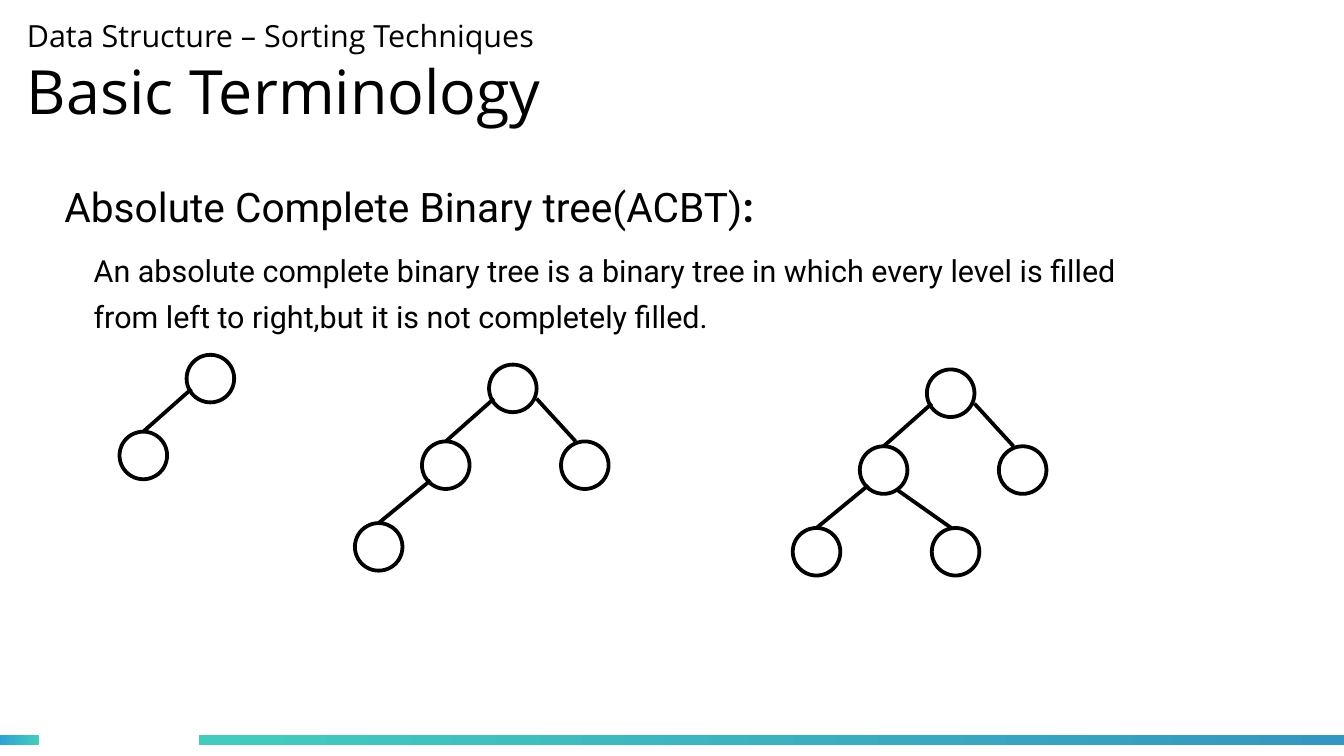
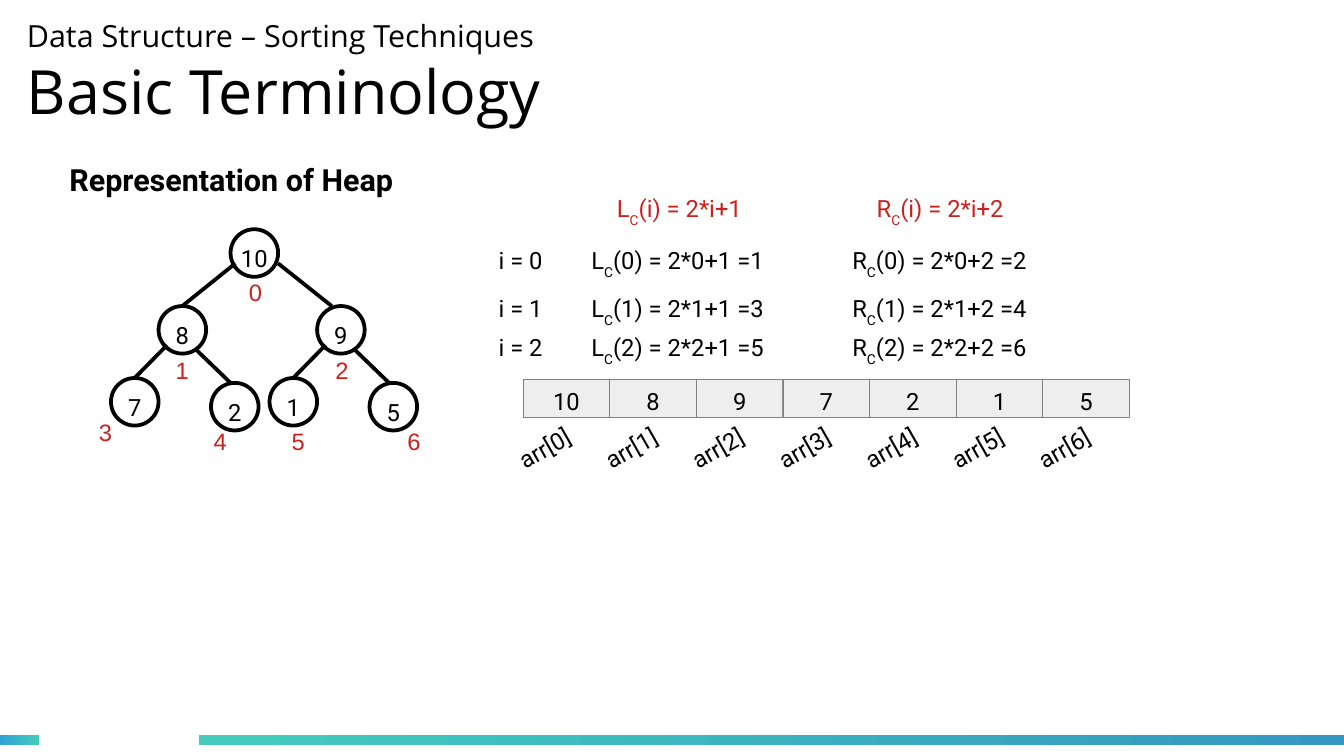
from lxml.etree import SubElement
from pptx import Presentation
from pptx.dml.color import RGBColor
from pptx.enum.shapes import MSO_CONNECTOR, MSO_SHAPE
from pptx.enum.text import MSO_ANCHOR as Anchor, PP_ALIGN as Align
from pptx.oxml.ns import qn
from pptx.util import Inches, Pt

COLORS = {
    "black": "000000",
    "white": "FFFFFF",
    "red": "C9211E",
    "cell": "EEEEEE",
    "cell_line": "808080",
    "teal": "43CCBD",
    "sky": "30A2D2",
    "blue": "3497C1",
}
NODE_SIZE = 0.39
COMPLETE_TREE = [(1.1, 0), (0.55, 0.63), (1.69, 0.63), (0, 1.3), (1.14, 1.3)]
HEAP_TREE = [(0.98, 0), (0.39, 0.63), (1.69, 0.63), (0, 1.22),
             (0.82, 1.26), (1.3, 1.22), (2.12, 1.26)]
HEAP_VALUES = [10, 8, 9, 7, 2, 1, 5]
INDEX_OFFSETS = [(0.05, 0.35), (0.04, 0.36), (0.05, 0.36), (-0.2, 0.28),
                 (-0.08, 0.31), (0.08, 0.35), (0.21, 0.31)]
LEFT_STARTS = {"upper": (0.04, 0.28), "lower": (0.07, 0.32)}
RIGHT_LINKS = {"upper": ((0.39, 0.28), (0.12, 0)), "lower": ((0.31, 0.36), (0.16, 0))}


def rgb(name):
    """Return the named colour."""
    return RGBColor.from_string(COLORS[name])


def write_text(shape, paragraphs, size=14, font="Roboto", color="black", bold=False,
               align=Align.LEFT, anchor=Anchor.TOP, margins=(0.1, 0.05, 0.1, 0.05), spacing=0):
    """Fill a shape with paragraphs, each a string or a list of (text, overrides) runs."""
    frame = shape.text_frame
    frame.word_wrap = True
    frame.vertical_anchor = anchor
    frame.margin_left, frame.margin_top, frame.margin_right, frame.margin_bottom = map(Inches, margins)
    for number, content in enumerate(paragraphs):
        paragraph = frame.add_paragraph() if number else frame.paragraphs[0]
        paragraph.alignment = align
        if number:
            paragraph.space_before = Pt(spacing)
        paragraph.space_after = Pt(spacing)
        runs = [(content, {})] if isinstance(content, str) else content
        for text, overrides in runs:
            if overrides.get("new_line"):
                paragraph.add_line_break()
                SubElement(paragraph._p[-1], qn("a:rPr"), sz=str(size * 100))
            run = paragraph.add_run()
            run.text = text
            run.font.name = font
            run.font.size = Pt(overrides.get("size", size))
            run.font.bold = overrides.get("bold", bold)
            run.font.color.rgb = rgb(color)
            if overrides.get("subscript"):
                run.font._element.set("baseline", "-33000")


def add_text(shapes, box, paragraphs, **text_format):
    """Add a text box at left, top, width, height."""
    text_box = shapes.add_textbox(*map(Inches, box))
    write_text(text_box, paragraphs, **text_format)
    return text_box


def add_box(shapes, kind, box, fill, line, width):
    """Add a filled and outlined preset shape."""
    shape = shapes.add_shape(kind, *map(Inches, box))
    shape.shadow.inherit = False
    shape.fill.solid()
    shape.fill.fore_color.rgb = rgb(fill)
    shape.line.color.rgb = rgb(line)
    shape.line.width = Pt(width)
    return shape


def add_band(slide, left, width, colors):
    """Add a footer band that fades from one colour to the other."""
    band = slide.shapes.add_shape(MSO_SHAPE.RECTANGLE, *map(Inches, (left, 6.03, width, 0.08)))
    band.shadow.inherit = False
    band.line.fill.background()
    band.fill.gradient()
    band.fill.gradient_angle = 0
    for stop, color in zip(band.fill.gradient_stops, colors):
        stop.color.rgb = rgb(color)


def start_slide(presentation):
    """Add a slide with the shared title and footer bands."""
    slide = presentation.slides.add_slide(presentation.slide_layouts[5])
    add_band(slide, 0, 0.32, ("sky", "teal"))
    add_band(slide, 1.63, 9.39, ("teal", "blue"))
    title = slide.shapes.title
    title.left, title.top, title.width, title.height = map(Inches, (0.22, 0.08, 7.68, 1.02))
    lines = [("Data Structure – Sorting Techniques", {}),
             ("Basic Terminology", {"size": 36, "new_line": True})]
    write_text(title, [lines], size=18, font="Open Sans", anchor=Anchor.MIDDLE, margins=(0, 0, 0, 0))
    return slide


def add_link(shapes, parent, child, child_shape, is_left, level):
    """Draw the line from a parent node to its child."""
    start, end = (LEFT_STARTS[level], (NODE_SIZE / 2, 0)) if is_left else RIGHT_LINKS[level]
    points = [parent[0] + start[0], parent[1] + start[1], child[0] + end[0], child[1] + end[1]]
    link = shapes.add_connector(MSO_CONNECTOR.STRAIGHT, *map(Inches, points))
    if is_left:
        link.end_connect(child_shape, 0)
    link.line.color.rgb = rgb("black")
    link.line.width = Pt(2.25)
    SubElement(link._element.spPr, qn("a:effectLst"))


def add_tree(slide, left, top, layout, values=()):
    """Draw a binary tree in level order, with values and indexes if given."""
    shapes = slide.shapes.add_group_shape().shapes
    places = [(left + x, top + y) for x, y in layout]
    nodes = [add_box(shapes, MSO_SHAPE.OVAL, (*place, NODE_SIZE, NODE_SIZE), "white", "black", 2.25)
             for place in places]
    for index in range(1, len(nodes)):
        parent = (index - 1) // 2
        level = "lower" if parent else "upper"
        add_link(shapes, places[parent], places[index], nodes[index], index % 2 == 1, level)
    for index, value in enumerate(values):
        write_text(nodes[index], [str(value)], align=Align.CENTER, anchor=Anchor.MIDDLE,
                   margins=(0, 0.08, 0, 0))
        (x, y), (shift_x, shift_y) = places[index], INDEX_OFFSETS[index]
        add_text(shapes, (x + shift_x, y + shift_y, 0.31, 0.32), [str(index)], font="Arial",
                 color="red", align=Align.CENTER, margins=(0, 0.05, 0, 0.05))


def add_array(slide, left, top, values):
    """Draw array cells with slanted element names below."""
    shapes = slide.shapes.add_group_shape().shapes
    pitch = 0.71
    for index, value in enumerate(values):
        x = left + index * pitch
        cell = add_box(shapes, MSO_SHAPE.RECTANGLE, (x, top, pitch, 0.31), "cell", "cell_line", 0.5)
        write_text(cell, [str(value)], align=Align.CENTER, anchor=Anchor.MIDDLE, margins=(0, 0.04, 0, 0))
        label = add_text(shapes, (x - 0.15, top + 0.34, 0.86, 0.39), [f"arr[{index}]"])
        label.rotation = 330.4


def add_formulas(slide, left, top):
    """Write the child index formulas and their worked rows."""
    children = [("L", 1, 0.81, 1.02), ("R", 2, 2.95, 3.15)]

    def add_formula(x, y, side, rest, color):
        """Write one formula with its subscript."""
        runs = [(side, {}), ("C", {"subscript": True}), (rest, {})]
        add_text(slide.shapes, (left + x, y, 2.01, 0.4), [runs], color=color)

    for side, step, _, heading_x in children:
        add_formula(heading_x, top, side, f"(i) = 2*i+{step}", "red")
    for index, offset in enumerate((0.43, 0.82, 1.14)):
        add_text(slide.shapes, (left + 0.05, top + offset, 0.72, 0.36), [f"i = {index}"])
        for side, step, x, _ in children:
            rest = f"({index}) = 2*{index}+{step} ={2 * index + step}"
            add_formula(x, top + offset, side, rest, "black")


def build_complete_tree_slide(presentation):
    """Define the absolute complete binary tree and show three of them."""
    slide = start_slide(presentation)
    for left, top, count in ((2.91, 2.99, 4), (6.5, 3.03, 5), (0.43, 2.91, 2)):
        add_tree(slide, left, top, COMPLETE_TREE[:count])
    definition = ["An absolute complete binary tree is a binary tree in which every level is filled",
                  "from left to right,but it is not completely filled."]
    add_text(slide.shapes, (0.67, 2.02, 10.2, 0.82), definition, size=18, spacing=2.8)
    heading = [("Absolute Complete Binary tree(ACBT)", {}), (":", {"bold": True})]
    add_text(slide.shapes, (0.43, 1.44, 7.2, 0.55), [heading], size=24)


def build_heap_slide(presentation):
    """Show a heap as a tree and as an array."""
    slide = start_slide(presentation)
    add_text(slide.shapes, (0.47, 1.27, 3.55, 0.44), ["Representation of Heap"], size=18, bold=True)
    add_array(slide, 4.29, 3.11, HEAP_VALUES)
    add_formulas(slide, 3.94, 1.54)
    add_tree(slide, 0.91, 1.88, HEAP_TREE, HEAP_VALUES)


def main():
    """Build and save the presentation."""
    presentation = Presentation()
    presentation.slide_width = Inches(11.02)
    presentation.slide_height = Inches(6.2)
    build_complete_tree_slide(presentation)
    build_heap_slide(presentation)
    presentation.save("out.pptx")


if __name__ == "__main__":
    main()
